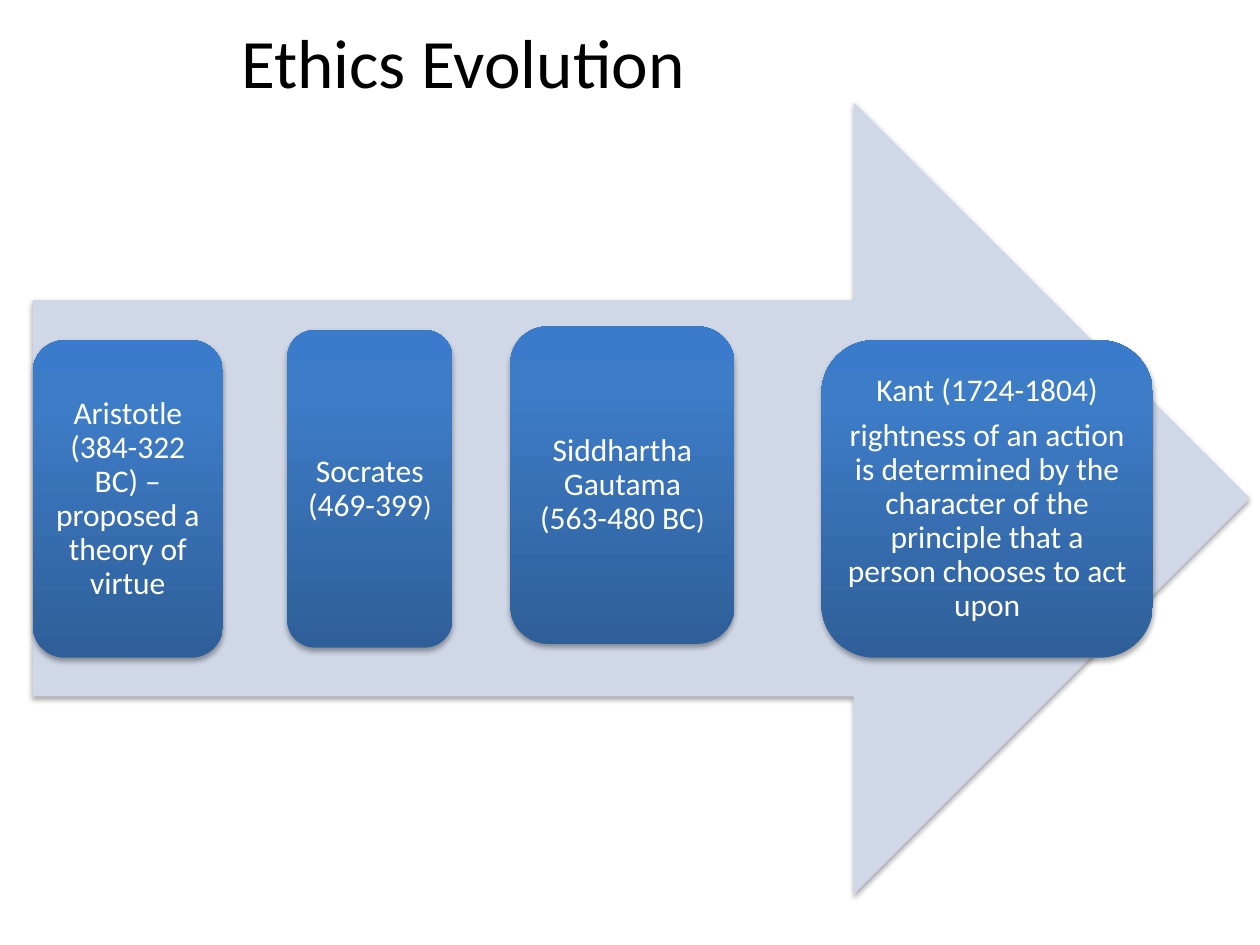
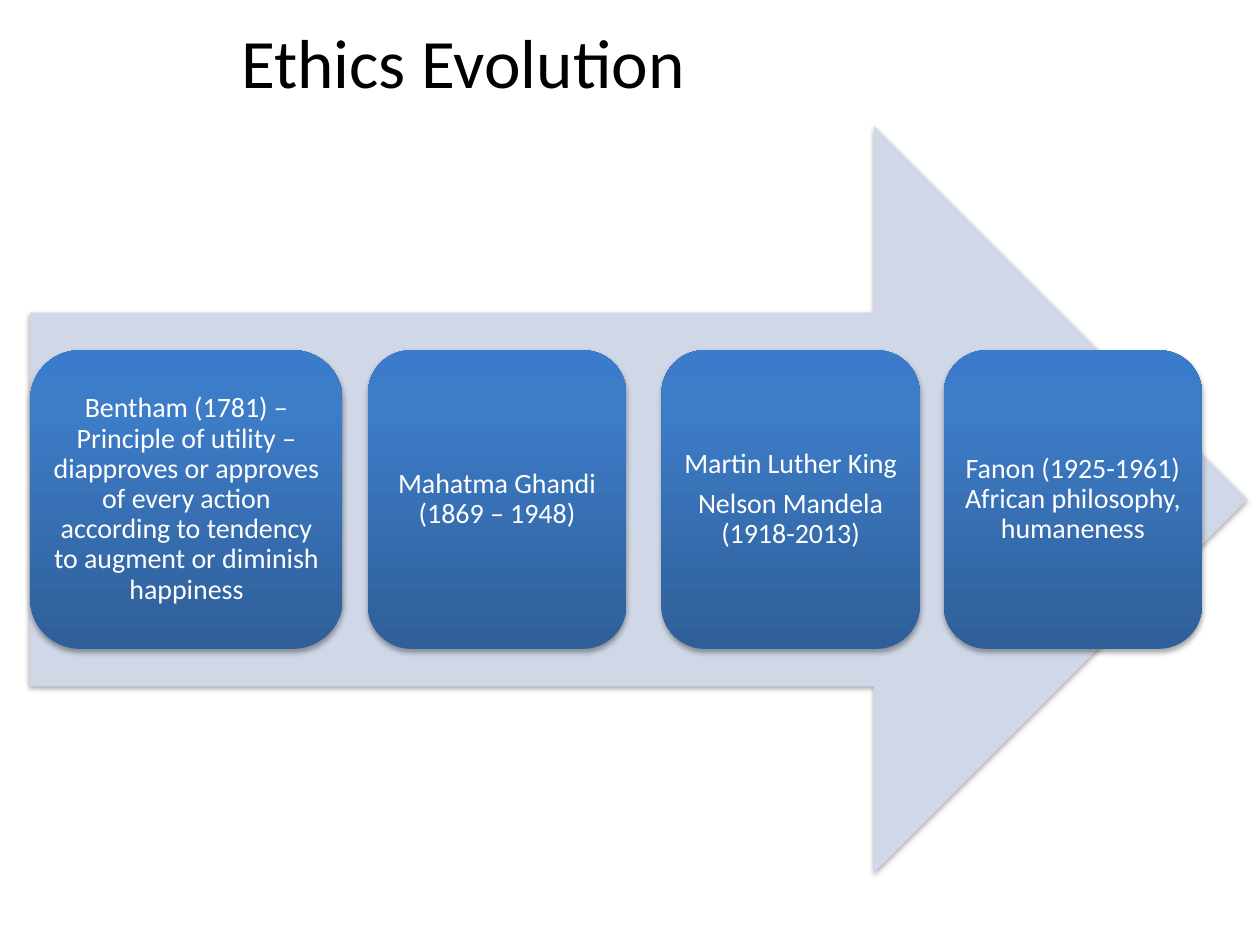
from lxml import etree
from pptx import Presentation
from pptx.dml.color import RGBColor
from pptx.enum.shapes import MSO_SHAPE
from pptx.enum.text import MSO_ANCHOR, PP_ALIGN
from pptx.oxml.ns import qn
from pptx.util import Inches, Pt

ARROW = MSO_SHAPE.RIGHT_ARROW
ROUNDED = MSO_SHAPE.ROUNDED_RECTANGLE
MIDDLE = MSO_ANCHOR.MIDDLE
CENTER = PP_ALIGN.CENTER

FONT = "Calibri"
BLACK = RGBColor(0x00, 0x00, 0x00)
WHITE = RGBColor(0xFF, 0xFF, 0xFF)
PALE_BLUE = RGBColor(0xD0, 0xD8, 0xE8)
DARK_BLUE = RGBColor(0x2F, 0x5F, 0x99)
MID_BLUE = RGBColor(0x3D, 0x7C, 0xC7)
BRIGHT_BLUE = RGBColor(0x3A, 0x7C, 0xCB)
CARD_STOPS = [(0, DARK_BLUE), (80, MID_BLUE), (100, BRIGHT_BLUE)]

TITLE = "Ethics Evolution"
CARD_INSET = 0.06

EARLY_THINKERS = [
    (0.26, 2.7, 1.51, [[("Aristotle (384-322 BC) – proposed a theory of virtue", 18)]]),
    (2.28, 2.62, 1.31, [[("Socrates (469-399", 18), (")", 16)]]),
    (4.05, 2.59, 1.78, [[("Siddhartha Gautama (563-480 BC", 18), (")", 16)]]),
    (6.52, 2.7, 2.63, [
        [("Kant (1724-1804)", 18)],
        [("rightness of an action is determined by the character of the "
          "principle that a person chooses to act upon", 18)],
    ]),
]
MODERN_THINKERS = [
    (0.24, 2.78, 2.48, [
        [("Bentham (1781) –Principle of utility – diapproves or approves of every "
          "action according to tendency to augment or diminish happiness", 16)],
    ]),
    (2.92, 2.78, 2.05, [[("Mahatma Ghandi (1869 – 1948)", 16)]]),
    (5.25, 2.78, 2.05, [
        [("Martin Luther King", 16)],
        [("Nelson Mandela (1918-2013)", 16)],
    ]),
    (7.49, 2.78, 2.05, [[("Fanon (1925-1961) African philosophy, humaneness", 16)]]),
]


def add_run(p, text, size, color):
    """Add one run of text to a paragraph."""
    r = p.add_run()
    r.text = text
    r.font.name = FONT
    r.font.size = Pt(size)
    r.font.color.rgb = color


def add_title(s):
    """Add the slide title."""
    tf = s.shapes.add_textbox(Inches(0.51), Inches(0.16), Inches(6.33), Inches(0.65)).text_frame
    tf.word_wrap = True
    tf.vertical_anchor = MIDDLE
    p = tf.paragraphs[0]
    p.alignment = CENTER
    add_run(p, TITLE, 39.6, BLACK)


def add_shadowed(s, kind, left, top, width, height):
    """Add a borderless shape with a soft shadow below it."""
    sp = s.shapes.add_shape(kind, Inches(left), Inches(top), Inches(width), Inches(height))
    sp.line.fill.background()
    sp.shadow.inherit = False
    effects = sp._element.spPr.find(qn("a:effectLst"))
    shadow = etree.SubElement(effects, qn("a:outerShdw"), blurRad=str(Pt(3.1)),
                              dist=str(Pt(1.8)), dir="5400000", rotWithShape="0")
    color = etree.SubElement(shadow, qn("a:srgbClr"), val=str(BLACK))
    etree.SubElement(color, qn("a:alpha"), val="35000")
    return sp


def fill_gradient(sp, stops):
    """Fill a shape with a gradient that runs from bottom to top."""
    sp.fill.gradient()
    sp.fill.gradient_angle = 90
    stop_list = sp._element.spPr.find(".//" + qn("a:gsLst"))
    for old in list(stop_list):
        stop_list.remove(old)
    for percent, color in stops:
        stop = etree.SubElement(stop_list, qn("a:gs"), pos=str(percent * 1000))
        etree.SubElement(stop, qn("a:srgbClr"), val=str(color))


def add_arrow(s, left, top, width, height):
    """Add the pale timeline arrow."""
    sp = add_shadowed(s, ARROW, left, top, width, height)
    sp.fill.solid()
    sp.fill.fore_color.rgb = PALE_BLUE


def add_card(s, left, top, width, height, paragraphs):
    """Add a rounded card with centred text about a thinker."""
    sp = add_shadowed(s, ROUNDED, left, top, width, height)
    fill_gradient(sp, CARD_STOPS)
    tf = sp.text_frame
    tf.word_wrap = True
    tf.vertical_anchor = MIDDLE
    tf.margin_left = tf.margin_right = Inches(CARD_INSET)
    tf.margin_top = tf.margin_bottom = Inches(CARD_INSET)
    for i, runs in enumerate(paragraphs):
        p = tf.add_paragraph() if i else tf.paragraphs[0]
        p.alignment = CENTER
        p.line_spacing = 0.9
        p.space_after = Pt(0.35 * runs[0][1])
        for text, size in runs:
            add_run(p, text, size, WHITE)


def add_timeline_slide(prs, arrow, card_height, cards):
    """Add a slide with the title, the arrow and its cards."""
    s = prs.slides.add_slide(prs.slide_layouts[6])
    add_title(s)
    add_arrow(s, *arrow)
    for left, top, width, paragraphs in cards:
        add_card(s, left, top, width, card_height, paragraphs)


def main():
    """Build and save the presentation."""
    prs = Presentation()
    prs.slide_width = Inches(10)
    prs.slide_height = Inches(7.5)
    add_timeline_slide(prs, (0.26, 0.81, 9.66, 6.29), 2.52, EARLY_THINKERS)
    add_timeline_slide(prs, (0.24, 1, 9.66, 5.93), 2.37, MODERN_THINKERS)
    prs.save("out.pptx")


if __name__ == "__main__":
    main()
